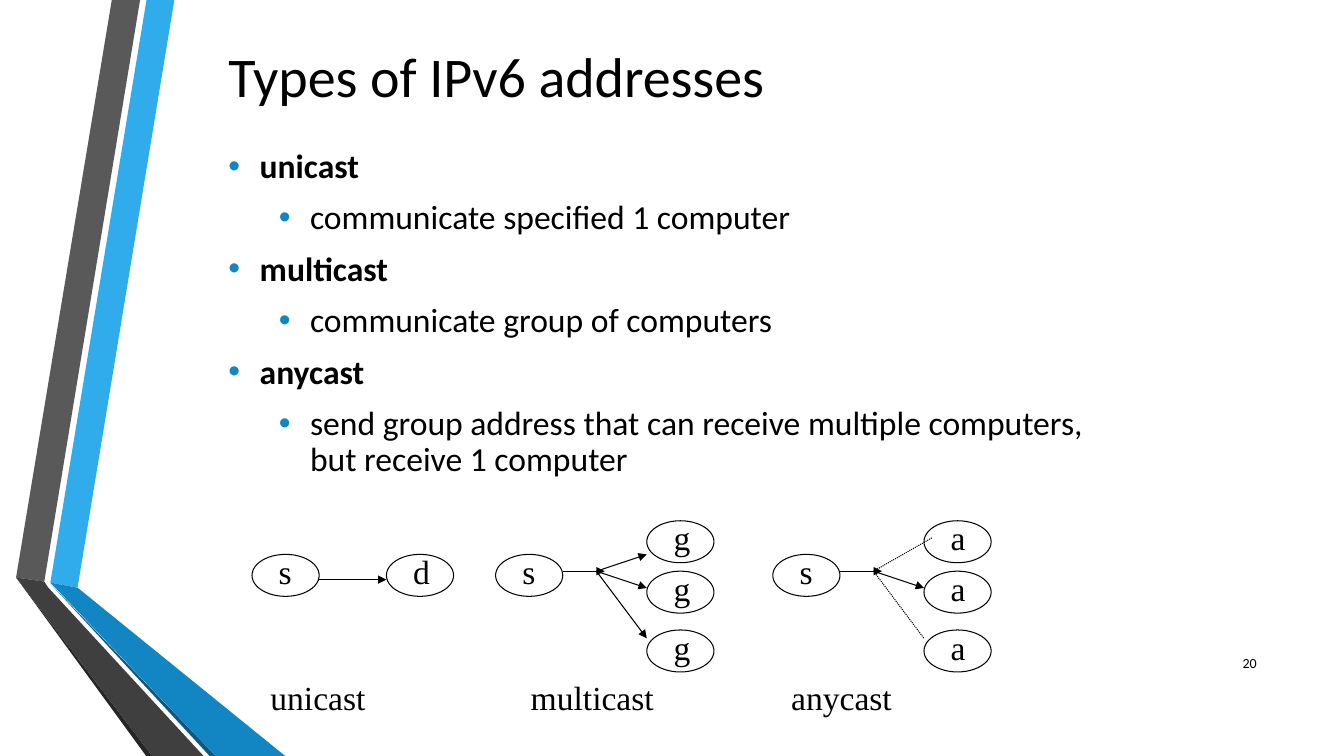
from pptx import Presentation
from pptx.dml.color import RGBColor
from pptx.enum.dml import MSO_LINE
from pptx.enum.shapes import MSO_CONNECTOR, MSO_SHAPE
from pptx.enum.text import MSO_ANCHOR
from pptx.oxml.ns import qn
from pptx.util import Emu, Inches, Pt
from lxml.etree import SubElement

CELL = Inches(1) // 12
COLS, ROWS = 160, 90
BLACK = RGBColor(0x00, 0x00, 0x00)
SKY = RGBColor(0x30, 0xAC, 0xEC)
BLUE = RGBColor(0x11, 0x86, 0xC3)
NAVY = RGBColor(0x0B, 0x59, 0x82)
GREY = RGBColor(0x59, 0x59, 0x59)
CHARCOAL = RGBColor(0x3F, 0x3F, 0x3F)
DARK = RGBColor(0x26, 0x26, 0x26)
SANS, SERIF = "Calibri", "Times New Roman"

RIBBONS = [
    (SKY, [(6, 69.36), (9.24, 69.96), (20.76, 0), (17.45, 0)]),
    (GREY, [(16.68, 0), (13.32, 0), (1.92, 68.76), (5.28, 69.24)]),
    (DARK, [(1.92, 68.76), (17.4, 90), (18.12, 90)]),
    (NAVY, [(6, 69.48), (24.96, 90), (25.68, 90)]),
    (BLUE, [(6, 69.36), (25.68, 90), (33.96, 90), (9.24, 69.96)]),
    (CHARCOAL, [(24.24, 90), (5.76, 69.96), (5.28, 69.24), (1.92, 68.76), (18.12, 90)]),
]
TYPES = [
    ("unicast", "communicate specified 1 computer"),
    ("multicast", "communicate group of computers"),
    ("anycast", "send group address that can receive multiple computers, "
                "but receive 1 computer"),
]
MEMBER_ROWS = (62, 68, 75)


def cells(*values):
    """Convert grid cells to lengths."""
    return [Emu(round(v * CELL)) for v in values]


def write(p, text, size=24, font=SERIF, color=BLACK, bold=False):
    """Add one formatted run to a paragraph."""
    r = p.add_run()
    r.text = text
    r.font.size, r.font.name, r.font.bold = Pt(size), font, bold
    r.font.color.rgb = color


def add_text(shapes, text, col, row, width, height, **style):
    """Add a wrapped text box on the grid."""
    tf = shapes.add_textbox(*cells(col, row, width, height)).text_frame
    tf.word_wrap = True
    write(tf.paragraphs[0], text, **style)


def add_ribbon(s, color, points):
    """Draw one filled facet of the side ribbon."""
    start, *rest = [cells(*point) for point in points]
    builder = s.shapes.build_freeform(*start, scale=1.0)
    builder.add_line_segments(rest, close=True)
    sp = builder.convert_to_shape()
    sp.shadow.inherit = False
    sp.fill.solid()
    sp.fill.fore_color.rgb = color
    sp.line.fill.background()


def add_node(s, letter, col, row):
    """Draw a lettered ellipse as one group."""
    group = s.shapes.add_group_shape()
    sp = group.shapes.add_shape(MSO_SHAPE.OVAL, *cells(col, row, 8, 5))
    sp.shadow.inherit = False
    sp.fill.background()
    sp.line.color.rgb, sp.line.width = BLACK, Pt(0.75)
    add_text(group.shapes, letter, col + 2, row - 1, 8, 6)


def add_link(s, start, end, dotted=False):
    """Draw an arrow, or a dotted line without a head."""
    link = s.shapes.add_connector(MSO_CONNECTOR.STRAIGHT, *cells(*start, *end))
    link.line.color.rgb, link.line.width = BLACK, Pt(0.75)
    if dotted:
        link.line.dash_style = MSO_LINE.ROUND_DOT
    else:
        SubElement(link.line._get_or_add_ln(), qn("a:tailEnd"), type="triangle")
    SubElement(link._element.spPr, qn("a:effectLst"))


def add_fan(s, letter, col, targets):
    """Draw a source that branches to a group of members."""
    add_node(s, "s", col, 66)
    for row in MEMBER_ROWS:
        add_node(s, letter, col + 18, row)
    add_link(s, (col + 8, 68), (col + 13, 68))
    for dx, row, dotted in targets:
        add_link(s, (col + 12, 68), (col + dx, row), dotted)


def add_bullet(p, text, level):
    """Format a paragraph as a bullet of the given level."""
    p.level, p.line_spacing = level, 0.9
    write(p, text, font=SANS, bold=level == 0)
    pPr = p._p.get_or_add_pPr()
    pPr.set("marL", str(Inches(0.31 + 0.5 * level)))
    pPr.set("indent", str(-Inches(0.31)))
    SubElement(SubElement(pPr, qn("a:buClr")), qn("a:srgbClr"), val=str(BLUE))
    SubElement(pPr, qn("a:buFont"), typeface="Arial")
    SubElement(pPr, qn("a:buChar"), char="•")


def place(holder, col, row, width, height):
    """Move a placeholder on the grid and return its text frame."""
    holder.left, holder.top, holder.width, holder.height = cells(col, row, width, height)
    tf = holder.text_frame
    tf.vertical_anchor, tf.word_wrap = MSO_ANCHOR.MIDDLE, True
    return tf


def add_outline(s):
    """Fill the title and the list of address types."""
    title = place(s.shapes.title, 26, 2, 108, 14).paragraphs[0]
    title.alignment = 1
    write(title, "Types of IPv6 addresses", size=40, font=SANS)
    tf = place(s.placeholders[1], 26, 18, 108, 43)
    tf.margin_bottom = Inches(0.4)
    lines = [(text, level) for pair in TYPES for level, text in enumerate(pair)]
    for i, (text, level) in enumerate(lines):
        p = tf.add_paragraph() if i else tf.paragraphs[0]
        p.space_before = Pt(10.8 if i else 0)
        add_bullet(p, text, level)


def main():
    """Build the slide."""
    prs = Presentation()
    prs.slide_width, prs.slide_height = cells(COLS, ROWS)
    s = prs.slides.add_slide(prs.slide_layouts[1])
    for color, points in RIBBONS:
        add_ribbon(s, color, points)
    add_outline(s)
    add_node(s, "s", 30, 66)
    add_node(s, "d", 46, 66)
    add_link(s, (38, 69), (46, 69))
    add_fan(s, "g", 59, [(18, 66, False), (18, 70, False), (18, 76, False)])
    add_fan(s, "a", 92, [(19, 64, True), (18, 70, False), (18, 76, True)])
    for i, (name, _) in enumerate(TYPES):
        add_text(s.shapes, name, 31 * (i + 1), 80, 22, 6)
    add_text(s.shapes, "20", 146.76, 77.28, 7.2, 4.8, size=10, font=SANS)
    prs.save("out.pptx")


if __name__ == "__main__":
    main()
